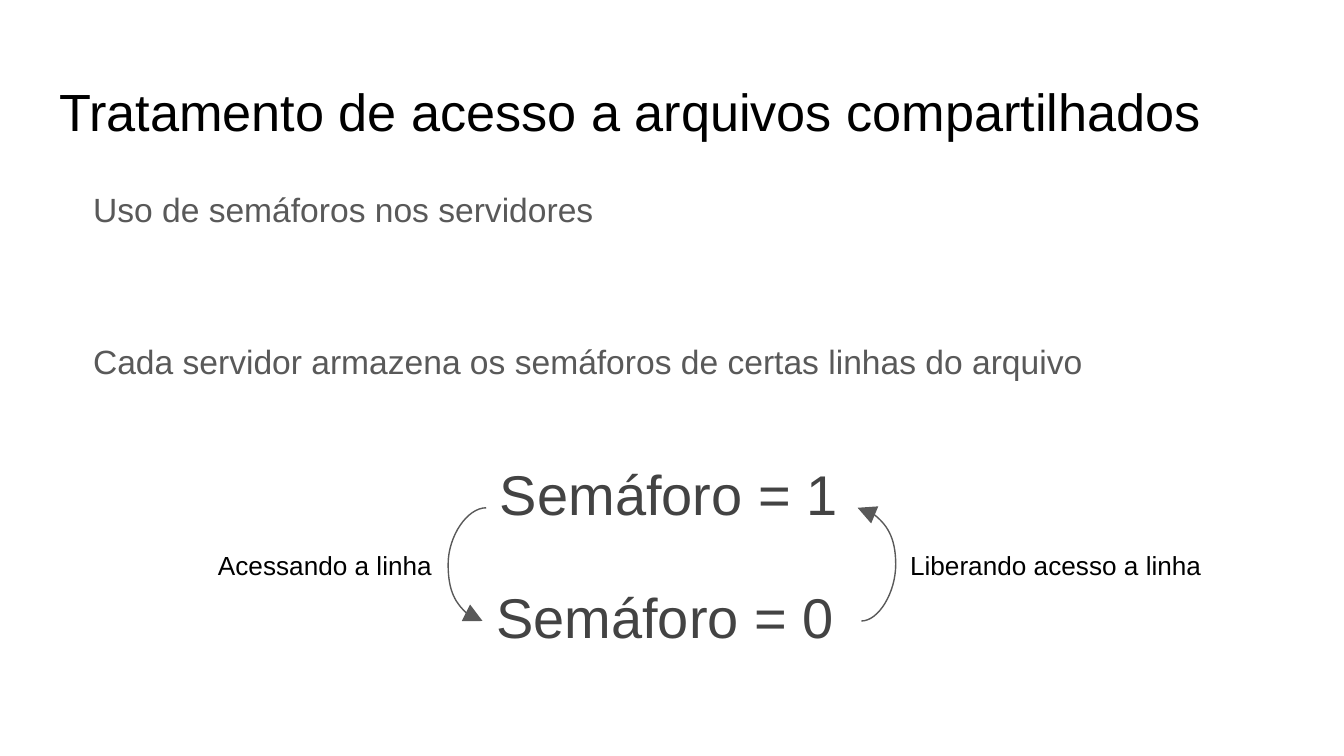
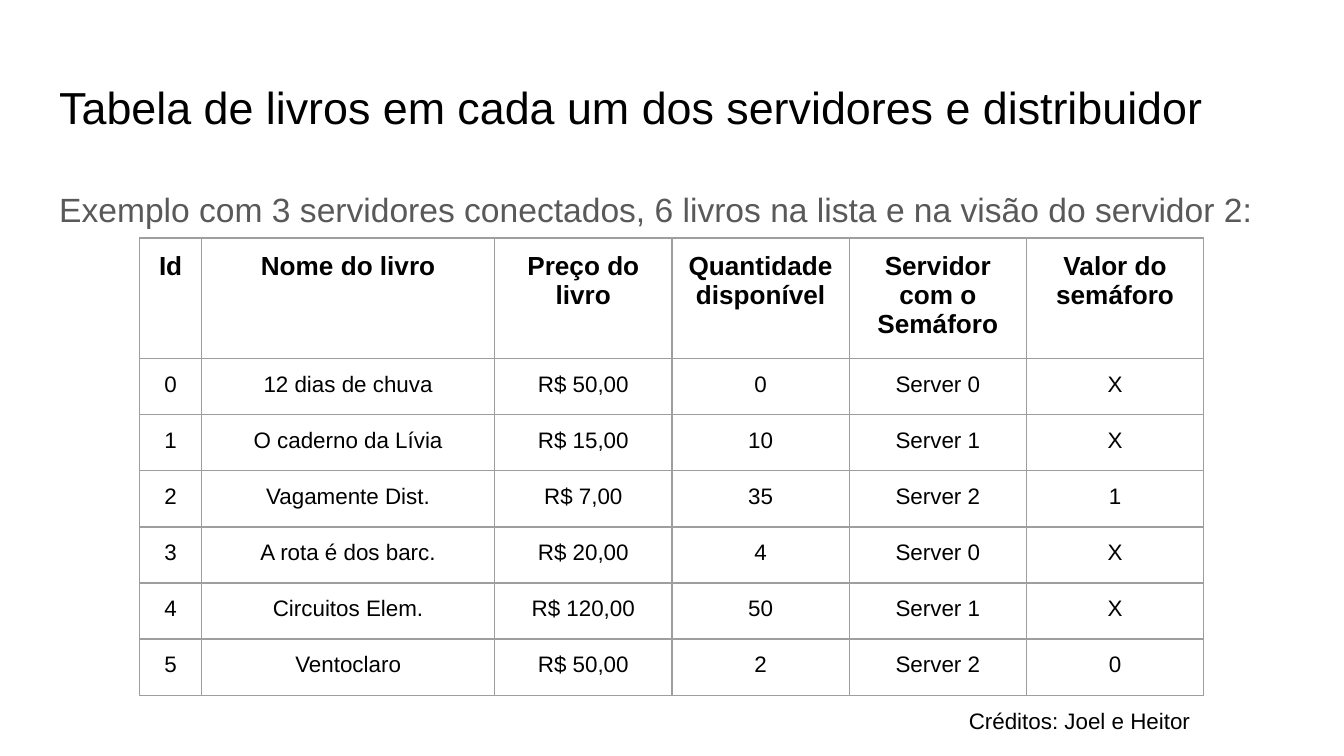
from pptx import Presentation
from pptx.dml.color import RGBColor
from pptx.enum.shapes import MSO_CONNECTOR
from pptx.enum.text import MSO_ANCHOR, PP_ALIGN
from pptx.oxml.ns import qn
from pptx.util import Cm, Pt
from lxml import etree

CURVE = MSO_CONNECTOR.CURVE
TOP = MSO_ANCHOR.TOP
LEFT, CENTER = PP_ALIGN.LEFT, PP_ALIGN.CENTER

FONT = "Arial"
BLACK, BODY_GRAY, STATE_GRAY, BORDER_GRAY = "000000", "595959", "434343", "9E9E9E"
INSET = Cm(0.25)
MARGIN, CONTENT_WIDTH = 0.87, 23.67

COLUMN_WIDTHS = [1.17, 5.54] + [3.35] * 4
ROW_HEIGHT = 1.06
BOOKS = [
    ("Id", "Nome do livro", "Preço do livro", "Quantidade disponível",
     "Servidor com o Semáforo", "Valor do semáforo"),
    ("0", "12 dias de chuva", "R$ 50,00", "0", "Server 0", "X"),
    ("1", "O caderno da Lívia", "R$ 15,00", "10", "Server 1", "X"),
    ("2", "Vagamente Dist.", "R$ 7,00", "35", "Server 2", "1"),
    ("3", "A rota é dos barc.", "R$ 20,00", "4", "Server 0", "X"),
    ("4", "Circuitos Elem.", "R$ 120,00", "50", "Server 1", "X"),
    ("5", "Ventoclaro", "R$ 50,00", "2", "Server 2", "0"),
]


def rgb(value):
    return RGBColor.from_string(value)


def style_para(para, size, color, bold=False, align=LEFT):
    para.alignment = align
    para.font.name = FONT
    para.font.size = Pt(size)
    para.font.bold = bold
    para.font.color.rgb = rgb(color)


def add_text(page, left, top, width, height, lines, size, color=BLACK):
    box = page.shapes.add_textbox(Cm(left), Cm(top), Cm(width), Cm(height))
    frame = box.text_frame
    frame.word_wrap = True
    frame.vertical_anchor = TOP
    frame.margin_left = frame.margin_right = INSET
    frame.margin_top = frame.margin_bottom = INSET
    frame.text = "\n".join(lines)
    for para in frame.paragraphs:
        style_para(para, size, color)
    return frame


def add_title(page, text, size):
    add_text(page, MARGIN, 1.25, CONTENT_WIDTH, 1.59, [text], size)


def add_body(page, lines, indent=0, gap=16):
    frame = add_text(page, MARGIN, 3.2, CONTENT_WIDTH, 9.5, lines, 18, BODY_GRAY)
    for para in frame.paragraphs:
        para.line_spacing = 1.15
        para.space_after = Pt(gap)
        para._p.get_or_add_pPr().set("marL", str(Cm(indent)))


def add_curved_arrow(page, start, end, bulge, arrow_end):
    line = page.shapes.add_connector(CURVE, *[Cm(value) for value in start + end])
    line.line.color.rgb = rgb(BODY_GRAY)
    line.line.width = Pt(0.75)
    etree.SubElement(line.line._ln, qn("a:" + arrow_end), type="triangle", w="lg", len="lg")
    properties = line._element.spPr
    etree.SubElement(properties, qn("a:effectLst"))
    adjust = round(-100000 * bulge / abs(end[0] - start[0]))
    guides = properties.find(qn("a:prstGeom")).find(qn("a:avLst"))
    etree.SubElement(guides, qn("a:gd"), name="adj1", fmla=f"val {adjust}")


def add_borders(cell):
    properties = cell._tc.get_or_add_tcPr()
    for side in ("lnL", "lnR", "lnT", "lnB"):
        border = etree.SubElement(properties, qn("a:" + side), w=str(Pt(0.75)))
        fill = etree.SubElement(border, qn("a:solidFill"))
        etree.SubElement(fill, qn("a:srgbClr"), val=BORDER_GRAY)


def fill_cell(cell, text, is_header):
    cell.text = text
    cell.margin_left = cell.margin_right = INSET
    cell.margin_top = cell.margin_bottom = INSET
    cell.vertical_anchor = TOP
    style_para(cell.text_frame.paragraphs[0], 14 if is_header else 12, BLACK, is_header, CENTER)
    add_borders(cell)
    cell.fill.background()


def add_book_table(page):
    table = page.shapes.add_table(
        len(BOOKS), len(COLUMN_WIDTHS), Cm(2.64), Cm(4.5),
        Cm(sum(COLUMN_WIDTHS)), Cm(ROW_HEIGHT * len(BOOKS))).table
    table.first_row = table.horz_banding = False
    for column, width in zip(table.columns, COLUMN_WIDTHS):
        column.width = Cm(width)
    for index, (row, values) in enumerate(zip(table.rows, BOOKS)):
        row.height = Cm(ROW_HEIGHT)
        for cell, value in zip(row.cells, values):
            fill_cell(cell, value, index == 0)


def build_semaphore_page(page):
    add_title(page, "Tratamento de acesso a arquivos compartilhados", 28)
    add_body(page, ["Uso de semáforos nos servidores",
                    "Cada servidor armazena os semáforos de certas linhas do arquivo"],
             indent=0.64, gap=57)
    add_text(page, 9.13, 10.77, 7.16, 1.95, ["Semáforo = 0"], 30, STATE_GRAY)
    add_text(page, 9.2, 8.43, 7.01, 2.33, ["Semáforo = 1"], 30, STATE_GRAY)
    add_curved_arrow(page, (9.12, 11.74), (9.19, 9.6), 0.65, "headEnd")
    add_curved_arrow(page, (16.28, 11.74), (16.21, 9.6), 0.65, "tailEnd")
    add_text(page, 3.87, 10.14, 16, 1.88, ["Acessando a linha"], 14)
    add_text(page, 16.95, 10.14, 8.4, 1.88, ["Liberando acesso a linha"], 14)


def build_books_page(page):
    add_title(page, "Tabela de livros em cada um dos servidores e distribuidor", 24)
    add_body(page, ["Exemplo com 3 servidores conectados, 6 livros na lista "
                    "e na visão do servidor 2:"])
    add_book_table(page)
    add_text(page, 18.06, 13.11, 6.71, 0.76, ["Créditos: Joel e Heitor"], 12)


def main():
    deck = Presentation()
    deck.slide_width, deck.slide_height = Cm(25.4), Cm(14.29)
    blank = deck.slide_layouts[6]
    for build in (build_semaphore_page, build_books_page):
        build(deck.slides.add_slide(blank))
    deck.save("out.pptx")


main()
